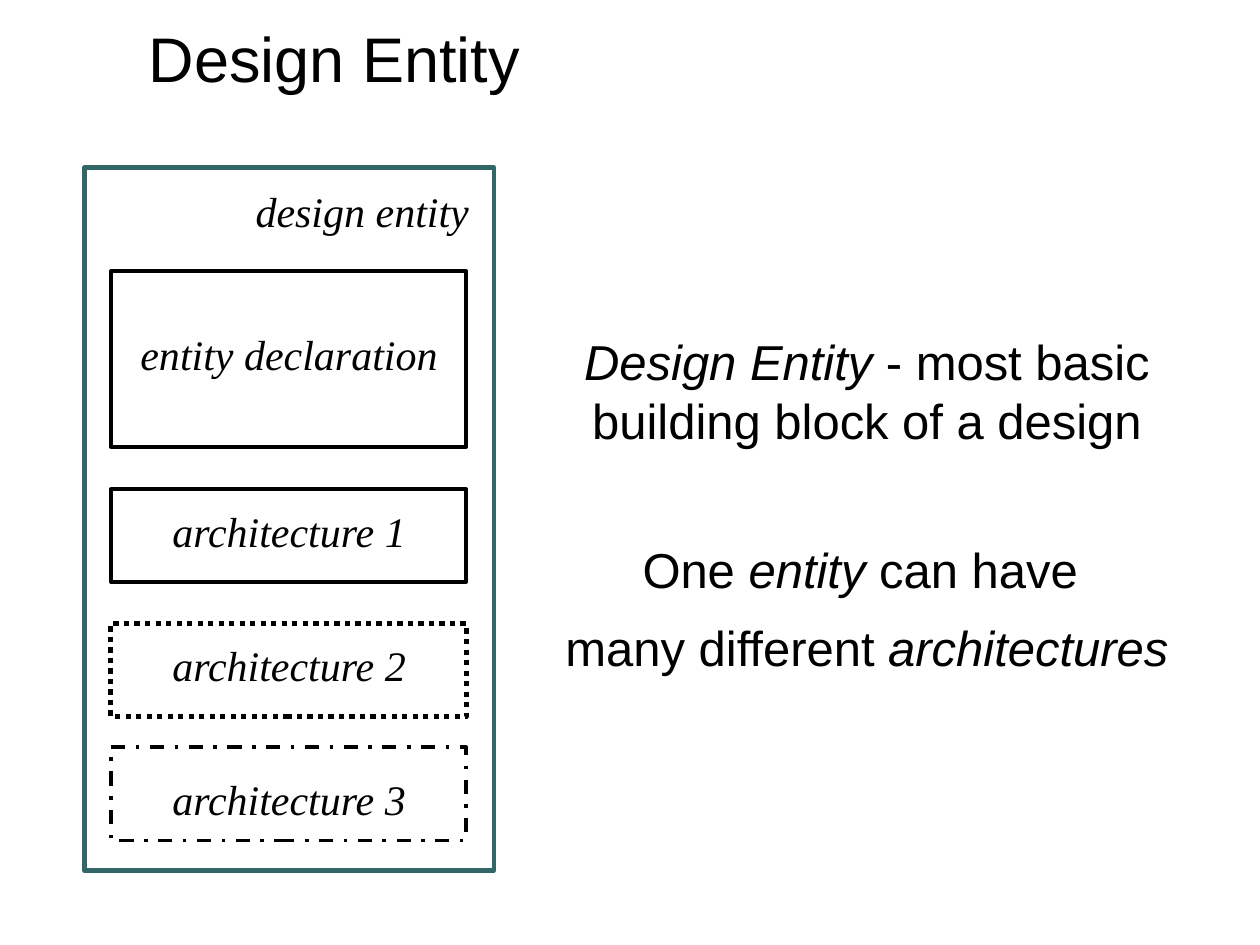
"""Build the Design Entity slide."""
from dataclasses import dataclass

from pptx import Presentation
from pptx.dml.color import RGBColor
from pptx.enum.dml import MSO_LINE_DASH_STYLE as Dash
from pptx.enum.shapes import MSO_SHAPE as Shape
from pptx.enum.text import MSO_ANCHOR as Anchor, MSO_AUTO_SIZE as AutoSize, PP_ALIGN as Align
from pptx.util import Inches, Pt

BLACK = RGBColor(0x00, 0x00, 0x00)
TEAL = RGBColor(0x33, 0x66, 0x66)
BODY = {"name": "Arial", "size": Pt(28)}
LABEL = {"name": "Times New Roman", "size": Pt(24), "italic": True}


@dataclass(frozen=True)
class Unit:
    """A framed part of the design entity."""
    name: str
    top: float
    height: float
    label_top: float
    weight: float = 2
    dash: Dash = Dash.SOLID


@dataclass(frozen=True)
class Statement:
    """A paragraph of (text, italic) spans with its spacing."""
    spans: tuple[tuple[str, bool], ...]
    before: float
    spacing: float = 1.0


UNITS = (
    Unit("entity declaration", 2.15, 1.4, 2.56),
    Unit("architecture 1", 3.88, 0.74, 3.96),
    Unit("architecture 2", 4.95, 0.74, 5.03, 3, Dash.ROUND_DOT),
    Unit("architecture 3", 5.93, 0.74, 6.09, 2, Dash.DASH_DOT),
)
STATEMENTS = (
    Statement((("Design Entity", True), (" - most basic building block of a design", False)), 7),
    Statement((("One ", False), ("entity ", True), ("can have ", False)), 58.5, 0.8),
    Statement((("many different ", False), ("architectures", True)), 17.5, 0.8),
)


def apply(target: object, values: dict) -> None:
    """Set every attribute named in values."""
    for name, value in values.items():
        setattr(target, name, value)


def place(*lengths: float) -> list[Inches]:
    """Convert left, top, width and height to lengths."""
    return [Inches(length) for length in lengths]


def add_span(para, text: str, font: dict) -> None:
    """Add a black run of text."""
    span = para.add_run()
    span.text = text
    apply(span.font, font)
    span.font.color.rgb = BLACK


def add_frame(page, area: list[Inches], color: RGBColor, weight: float, dash: Dash = Dash.SOLID) -> None:
    """Draw an unfilled rectangle."""
    frame = page.shapes.add_shape(Shape.RECTANGLE, *area)
    frame.shadow.inherit = False
    frame.fill.background()
    frame.line.color.rgb = color
    apply(frame.line, {"width": Pt(weight), "dash_style": dash})


def add_label(page, text: str, area: list[Inches], align: Align) -> None:
    """Write a one-line italic label."""
    box = page.shapes.add_textbox(*area)
    box.text_frame.word_wrap = True
    para = box.text_frame.paragraphs[0]
    para.alignment = align
    add_span(para, text, LABEL)


def add_title(page, text: str) -> None:
    """Place and format the title."""
    title = page.shapes.title
    apply(title, dict(zip(("left", "top", "width", "height"), place(1.08, 0.08, 8.58, 0.75))))
    apply(title.text_frame, {"vertical_anchor": Anchor.MIDDLE, "auto_size": AutoSize.NONE})
    para = title.text_frame.paragraphs[0]
    para.alignment = Align.LEFT
    add_span(para, text, {"name": "Arial", "size": Pt(36)})


def add_statements(page, statements: tuple[Statement, ...]) -> None:
    """Write the centred explanation."""
    frame = page.shapes.add_textbox(*place(3.92, 2.58, 5.92, 2.83)).text_frame
    frame.word_wrap = True
    for index, statement in enumerate(statements):
        para = frame.add_paragraph() if index else frame.paragraphs[0]
        apply(para, {"alignment": Align.CENTER, "space_before": Pt(statement.before),
                     "line_spacing": statement.spacing})
        for text, italic in statement.spans:
            add_span(para, text, BODY | {"italic": italic})


def main() -> None:
    """Create and save the deck."""
    deck = Presentation()
    apply(deck, {"slide_width": Inches(10), "slide_height": Inches(7.5)})
    page = deck.slides.add_slide(deck.slide_layouts[5])
    add_title(page, "Design Entity")
    add_statements(page, STATEMENTS)
    add_frame(page, place(0.67, 1.33, 3.25, 5.58), TEAL, 2.5)
    add_label(page, "design entity", place(1.93, 1.42, 2, 0.5), Align.LEFT)
    for unit in UNITS:
        add_frame(page, place(0.88, unit.top, 2.82, unit.height), BLACK, unit.weight, unit.dash)
        add_label(page, unit.name, place(0.96, unit.label_top, 2.67, 0.5), Align.CENTER)
    deck.save("out.pptx")


if __name__ == "__main__":
    main()
